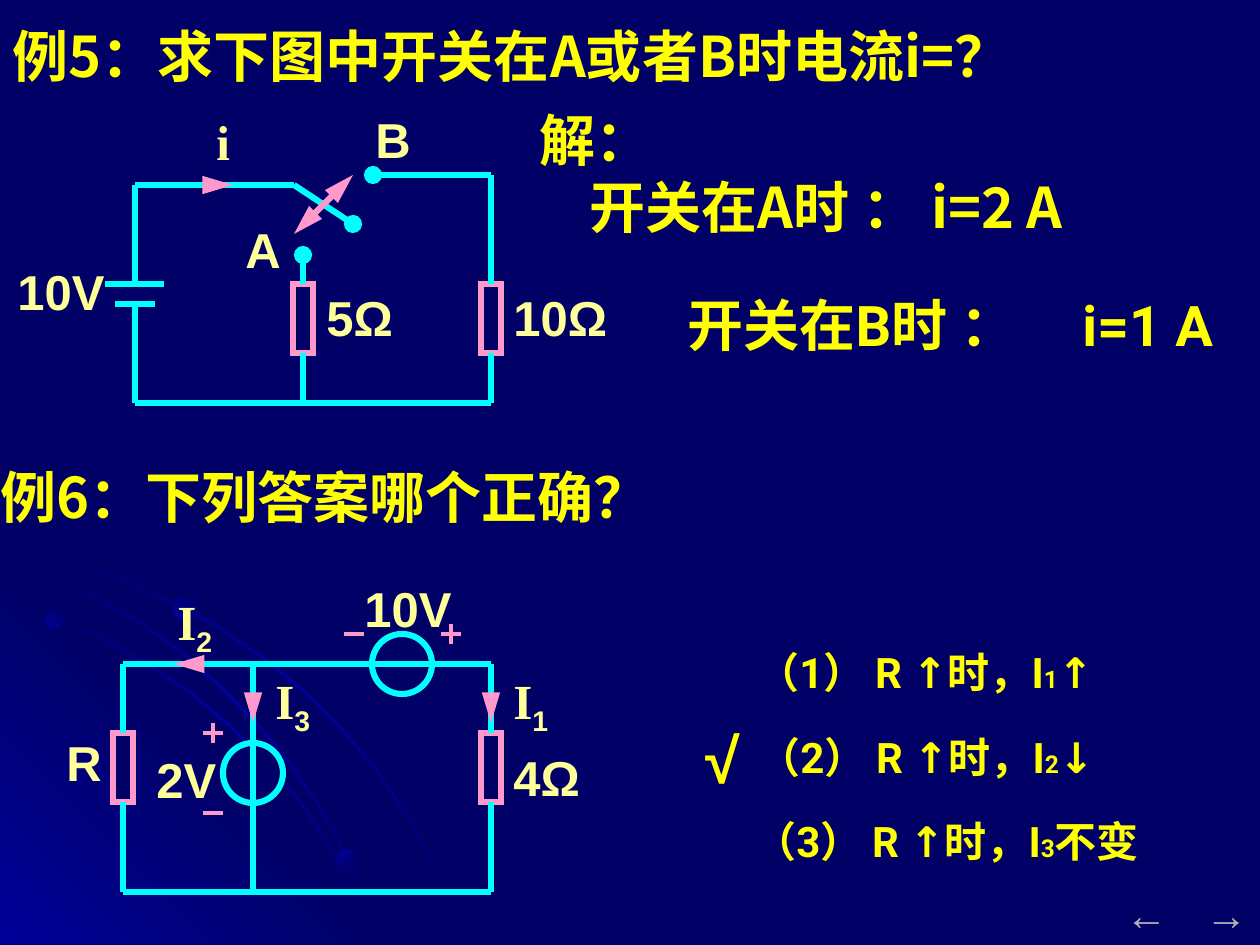
"""Build a slide with two circuit exercises and their answers."""
from copy import deepcopy

from lxml import etree
from pptx import Presentation, util as u
from pptx.dml.color import RGBColor
from pptx.enum import shapes, text
from pptx.oxml.ns import qn

PX = 914400 / 126
COLOURS = {"navy": "000066", "blue": "010199", "yellow": "FFFF00", "cream": "FFFF99",
           "cyan": "00FFFF", "pink": "FF99CC", "grey": "B2B2B2"}
CJK = "Noto Sans CJK SC"
GLOW = ("navy", "blue", "navy")
ARCS = [
    [(0, 548), (35, 556), (72, 563), (123, 578), (171, 601), (219, 626), (263, 656), (305, 690),
     (343, 728), (378, 770), (410, 816), (427, 848), (444, 879), (456, 911), (469, 944)],
    [(0, 599), (52, 615), (100, 636), (147, 663), (192, 692), (232, 726), (271, 764), (305, 806),
     (335, 852), (360, 897), (373, 920), (382, 944)],
    [(0, 557), (49, 573), (96, 596), (140, 621), (181, 650), (220, 684), (257, 722), (289, 760),
     (320, 805), (339, 838), (355, 873), (370, 907), (382, 944)],
]


def emu(*lengths):
    return [u.Emu(round(length * PX)) for length in lengths]


def rgb(name):
    return RGBColor.from_string(COLOURS[name])


def add_text(page, place, content, size=32, font=CJK, colour="yellow", bold=True,
             wrap=False, indents=(), tab=None):
    """Add a box; content is a list of paragraphs, each a list of (text, size, font, baseline)."""
    box = page.shapes.add_textbox(*emu(*place))
    frame = box.text_frame
    frame.word_wrap = wrap
    frame.auto_size = text.MSO_AUTO_SIZE.SHAPE_TO_FIT_TEXT
    paragraphs = [[(content,)]] if isinstance(content, str) else content
    for index, spans in enumerate(paragraphs):
        para = frame.add_paragraph() if index else frame.paragraphs[0]
        properties = para._p.get_or_add_pPr()
        if indents:
            properties.set("marL", str(emu(indents[index])[0]))
        if tab:
            stops = etree.SubElement(properties, qn("a:tabLst"))
            etree.SubElement(stops, qn("a:tab"), pos=str(emu(tab)[0]), algn="l")
        for words, *own in spans:
            own_size, own_font, baseline = own + [size, font, 0][len(own):]
            span = para.add_run()
            span.text = words
            span.font.size = u.Pt(own_size)
            span.font.name = own_font
            span.font.bold = bold
            span.font.color.rgb = rgb(colour)
            etree.SubElement(span._r.rPr, qn("a:ea"), typeface=CJK)
            if baseline:
                span._r.rPr.set("baseline", str(baseline * 1000))
    return box


def add_label(page, place, words, font="Arial", subscript=None):
    spans = [(words,)] + ([(subscript, 28, "Arial", -25)] if subscript else [])
    add_text(page, place, [spans], size=28, font=font, colour="cream")


def add_line(page, start, end, colour="cyan", width=3.5, head=None, tail=None,
             begin=None, finish=None):
    """Add a straight line; begin and finish are (shape, side) joints."""
    line = page.shapes.add_connector(shapes.MSO_CONNECTOR.STRAIGHT, *emu(*start, *end))
    if begin:
        line.begin_connect(*begin)
    if finish:
        line.end_connect(*finish)
    line.line.color.rgb = rgb(colour)
    line.line.width = u.Pt(width)
    outline = line.line._get_or_add_ln()
    for tag, kind in (("a:headEnd", head), ("a:tailEnd", tail)):
        if kind:
            length = "lg" if kind == "triangle" else "med"
            etree.SubElement(outline, qn(tag), type=kind, w="med", len=length)
    etree.SubElement(line._element.spPr, qn("a:effectLst"))


def add_part(page, place, kind, colour):
    part = page.shapes.add_shape(kind, *emu(*place))
    part.shadow.inherit = False
    part.fill.solid()
    part.fill.fore_color.rgb = rgb("navy")
    part.line.color.rgb = rgb(colour)
    part.line.width = u.Pt(3.5)
    etree.SubElement(part.line._get_or_add_ln(), qn("a:miter"), lim="800000")
    return part


def add_resistor(page, x, y):
    return add_part(page, (x - 10, y, 20, 69), shapes.MSO_SHAPE.RECTANGLE, "pink")


def add_source(page, x, y):
    add_part(page, (x - 30, y - 30, 60, 60), shapes.MSO_SHAPE.OVAL, "cyan")


def add_sign(page, x, y, plus=False):
    add_line(page, (x - 10, y), (x + 10, y), "pink", 2.5)
    if plus:
        add_line(page, (x, y + 10), (x, y - 10), "pink", 2.5)


def shade(shape, colours, angle):
    """Fill a shape with evenly spaced gradient colours, at a clockwise angle."""
    shape.shadow.inherit = False
    shape.line.fill.background()
    shape.fill.gradient()
    shape.fill.gradient_angle = 360 - angle
    stops = shape._element.spPr.find(".//" + qn("a:gsLst"))
    while len(stops) < len(colours):
        stops.append(deepcopy(stops[0]))
    for index, stop in enumerate(shape.fill.gradient_stops):
        stop.color.rgb = rgb(colours[index])
        stop.position = index / (len(colours) - 1)


def add_outline(page, points, colours, angle):
    builder = page.shapes.build_freeform(*points[0], scale=PX)
    builder.add_line_segments(points[1:])
    shade(builder.convert_to_shape(), colours, angle)


def add_backdrop(page):
    bands = [arc + [(max(x - 2, 0), min(y + 2, 944)) for x, y in reversed(arc)] for arc in ARCS]
    add_outline(page, bands[0], GLOW, 45)
    add_outline(page, [(406, 944), (0, 944), (0, 538)], ("blue", "navy", "blue"), 315)
    for band in bands[1:]:
        add_outline(page, band, GLOW, 45)
    for x, y, size, angle in ((45, 609, 19, 315), (336, 849, 20, 45), (173, 596, 26, 315)):
        dot = page.shapes.add_shape(shapes.MSO_SHAPE.OVAL, *emu(x, y, size, size))
        shade(dot, ("blue", "navy"), angle)


def add_switch_circuit(page):
    middle, right = add_resistor(page, 303, 284), add_resistor(page, 491, 284)
    for start, end in (((135, 185), (294, 185)), ((135, 284), (135, 185)),
                       ((135, 403), (135, 304)), ((115, 304), (155, 304)),
                       ((105, 284), (164, 284)), ((135, 403), (491, 403))):
        add_line(page, start, end)
    add_line(page, (294, 185), (353, 224), tail="oval")
    add_line(page, (373, 175), (491, 175), head="oval")
    add_line(page, (491, 284), (491, 175), begin=(right, 0))
    add_line(page, (303, 284), (303, 255), tail="oval", begin=(middle, 0))
    add_line(page, (491, 403), (491, 353), finish=(right, 2))
    add_line(page, (303, 403), (303, 353), finish=(middle, 2))
    add_line(page, (224, 185), (233, 185), "pink", tail="triangle")
    add_line(page, (353, 175), (294, 234), "pink", head="triangle", tail="triangle")
    add_label(page, (204, 105, 44, 72), "i", font="Times New Roman")
    for words, x, y, width in (("10V", 5, 255, 120), ("10Ω", 501, 281, 126),
                               ("5Ω", 314, 281, 98), ("A", 233, 213, 66), ("B", 363, 103, 66)):
        add_label(page, (x, y, width, 72), words)


def add_source_circuit(page):
    add_source(page, 253, 773)
    add_source(page, 402, 664)
    for x in (123, 491):
        resistor = add_resistor(page, x, 733)
        add_line(page, (x, 733), (x, 664), begin=(resistor, 0))
        add_line(page, (x, 892), (x, 802), finish=(resistor, 2))
    for start, end in (((123, 892), (491, 892)), ((253, 892), (253, 664)),
                       ((123, 664), (491, 664))):
        add_line(page, start, end)
    for start, end in (((253, 703), (253, 723)), ((491, 703), (491, 723)),
                       ((193, 664), (174, 664))):
        add_line(page, start, end, "pink", tail="triangle")
    for x, y, plus in ((451, 634, True), (354, 634, False), (213, 733, True), (213, 813, False)):
        add_sign(page, x, y, plus)
    for words, x, y, width in (("R", 54, 726, 66), ("10V", 352, 572, 120),
                               ("2V", 144, 743, 94), ("4Ω", 501, 741, 98)):
        add_label(page, (x, y, width, 72), words)
    for number, x, y in (("1", 501, 664), ("2", 165, 585), ("3", 263, 664)):
        add_label(page, (x, y, 70, 79), "I", font="Times New Roman", subscript=number)


def add_answers(page):
    for number, change, x, y, width in (("1", "↑", 745, 640, 418), ("2", "↓", 746, 725, 435),
                                        ("3", "不变", 742, 809, 491)):
        spans = [(f"（{number}） R ↑时，I",), (number, 14), (change,)]
        add_text(page, (x, y, width, 63), [spans], size=24, font="Roboto")
    add_text(page, (693, 714, 73, 88), "√", size=36, font="Arial", wrap=True)


def main():
    deck = Presentation()
    deck.slide_width, deck.slide_height = u.Inches(10), u.Inches(7.5)
    page = deck.slides.add_slide(deck.slide_layouts[6])
    page.background.fill.solid()
    page.background.fill.fore_color.rgb = rgb("navy")
    add_backdrop(page)
    add_text(page, (0, 15, 1096, 147), "例5：求下图中开关在A或者B时电流i=？", wrap=True)
    add_text(page, (527, 99, 717, 147), [[("解：",)], [("开关在A时 ： i=2 A",)]],
             indents=(0, 50))
    add_text(page, (675, 284, 556, 81), "开关在B时 ：\ti=1 A", font="Roboto", tab=395)
    add_text(page, (-12, 456, 702, 81), "例6：下列答案哪个正确？")
    add_answers(page)
    for arrow, x in (("→", 1193), ("←", 1113)):
        add_text(page, (x, 882, 67, 63), arrow, size=24, font="Arial", colour="grey", bold=False)
    add_switch_circuit(page)
    add_source_circuit(page)
    deck.save("out.pptx")


if __name__ == "__main__":
    main()
